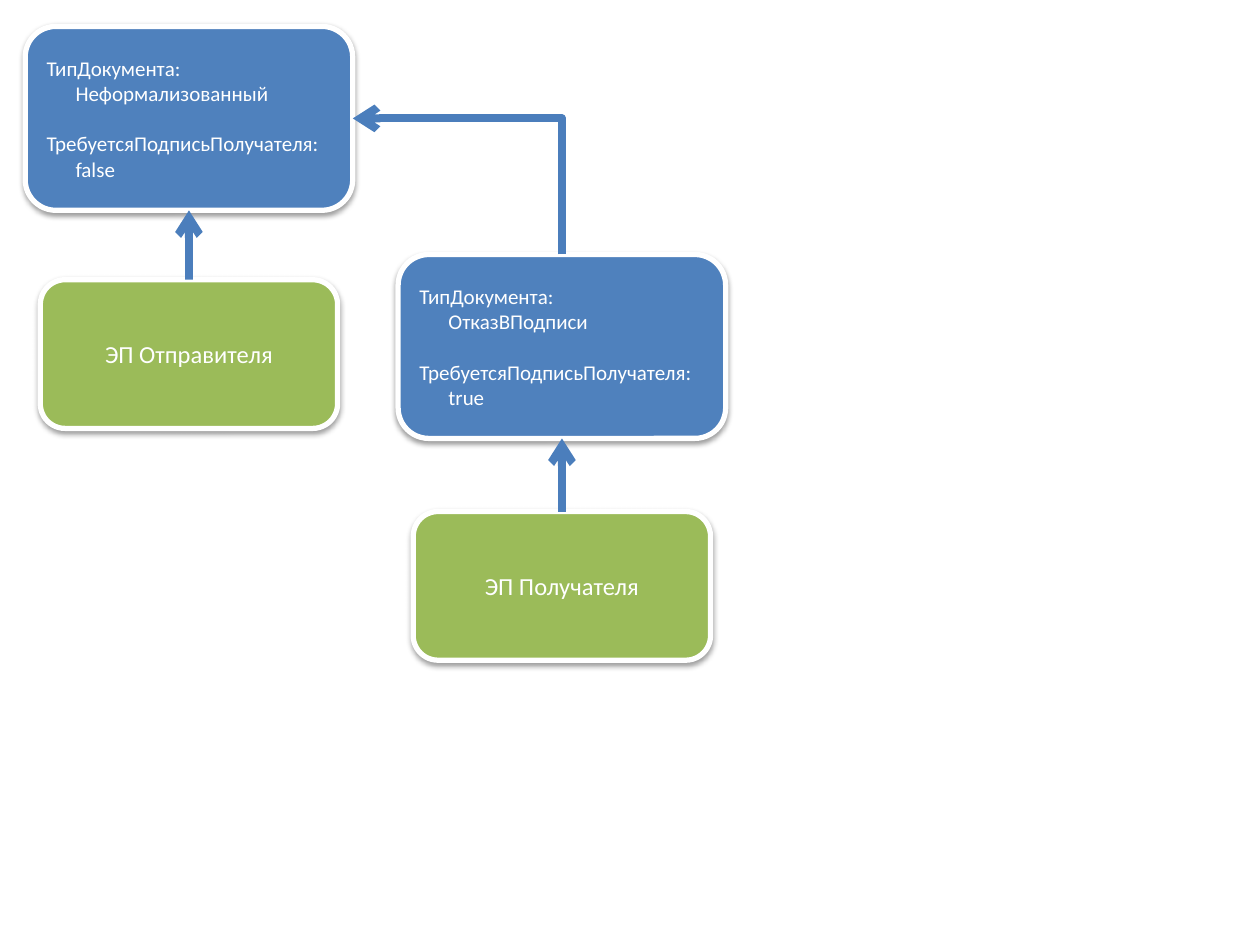
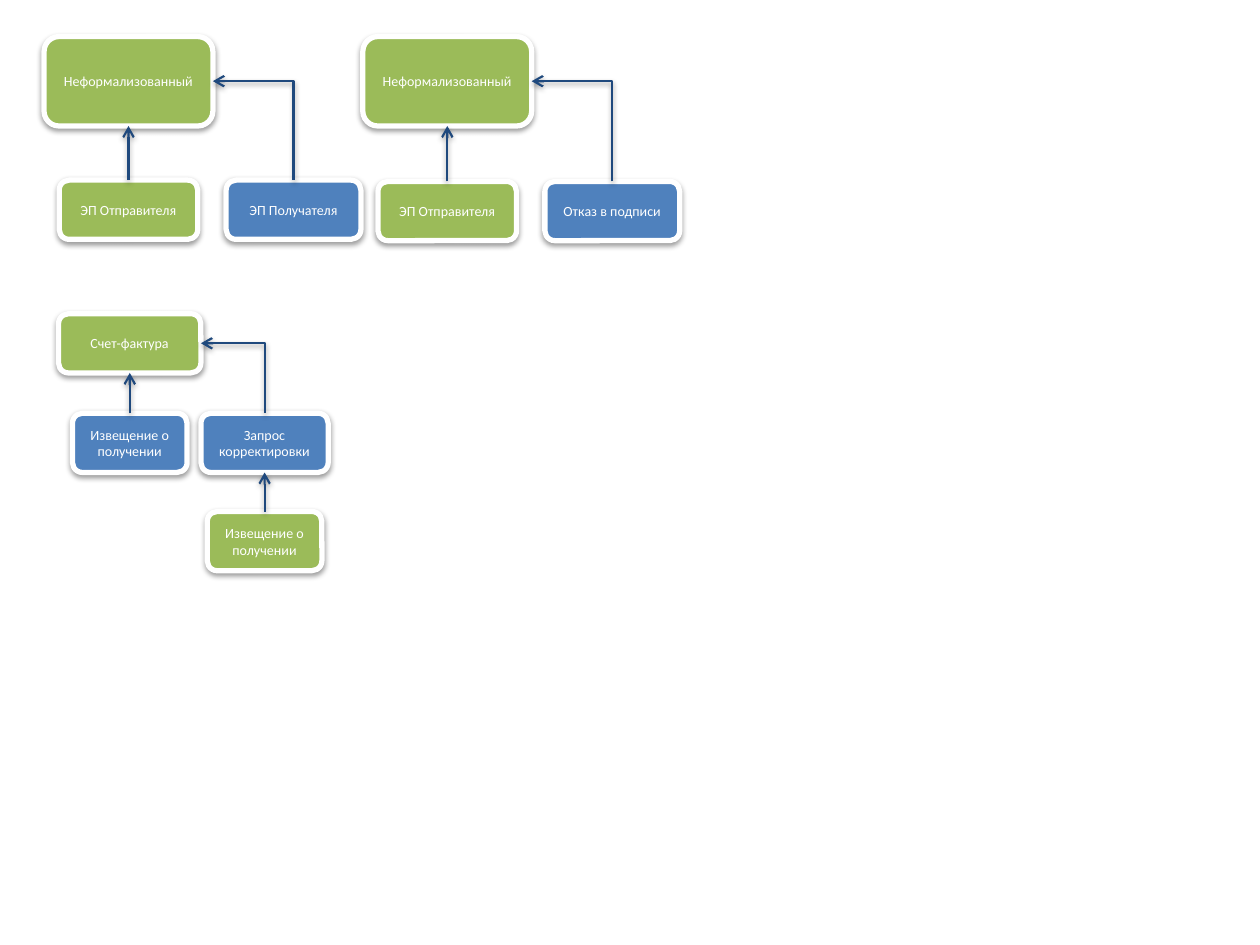
from pptx import Presentation
from pptx.dml.color import RGBColor
from pptx.enum.shapes import MSO_CONNECTOR as CONN, MSO_SHAPE as SHAPE
from pptx.enum.text import MSO_ANCHOR, PP_ALIGN
from pptx.oxml import parse_xml
from pptx.oxml.ns import nsdecls, qn
from pptx.util import Inches, Pt

rgb = RGBColor.from_string
BLUE, GREEN, WHITE = "4F81BD", "9BBB59", "FFFFFF"
TOP, BOTTOM, RIGHT = 0, 2, 3  # connection sites of a rounded rectangle
NO_EFFECT = f'<a:effectLst {nsdecls("a")}/>'
SHADOW = (f'<a:effectLst {nsdecls("a")}>'
          '<a:outerShdw blurRad="40000" dist="20000" dir="5400000" rotWithShape="0">'
          '<a:srgbClr val="000000"><a:alpha val="38000"/></a:srgbClr>'
          '</a:outerShdw></a:effectLst>')
ARROW = f'<a:tailEnd {nsdecls("a")} type="arrow"/>'

# Paragraph formats
CENTRED = {"alignment": PP_ALIGN.CENTER}
LABEL = {"alignment": PP_ALIGN.LEFT}
NEXT_LABEL = {"alignment": PP_ALIGN.LEFT, "space_before": Pt(14.4)}
VALUE = {"alignment": PP_ALIGN.LEFT}
VALUE_INDENT = Inches(0.23)

# Arrow styles: colour, width in points, effects
BOLD_ARROW = ("4B7EBC", 4.5, NO_EFFECT)
THIN_ARROW = ("1F497D", 1.25, SHADOW)


def add_box(shapes, centre, top, width, height, color, size, lines):
    """Add a rounded box centred on a column; lines are (text, format) pairs."""
    s = shapes.add_shape(SHAPE.ROUNDED_RECTANGLE, Inches(centre - width / 2),
                         Inches(top), Inches(width), Inches(height))
    s.fill.solid()
    s.fill.fore_color.rgb = rgb(color)
    s.line.color.rgb = rgb(WHITE)
    s.line.width = Pt(3)
    s._element.spPr.append(parse_xml(SHADOW))
    tf = s.text_frame
    tf.word_wrap = True
    tf.vertical_anchor = MSO_ANCHOR.MIDDLE
    font = {"name": "Calibri", "size": Pt(size)}
    for i, (text, fmt) in enumerate(lines):
        p = tf.add_paragraph() if i else tf.paragraphs[0]
        for key, value in fmt.items():
            setattr(p, key, value)
        if fmt is VALUE:
            p._p.get_or_add_pPr().set("marL", str(VALUE_INDENT))
        r = p.add_run()
        r.text = text
        for key, value in font.items():
            setattr(r.font, key, value)
        r.font.color.rgb = rgb(WHITE)
    return s


def link(shapes, child, parent, site, style):
    """Draw an arrow from the top of child to a site of parent, bent at RIGHT."""
    color, width, effects = style
    kind = CONN.ELBOW if site == RIGHT else CONN.STRAIGHT
    c = shapes.add_connector(kind, 0, 0, 0, 0)
    c.begin_connect(child, TOP)
    c.end_connect(parent, site)
    spPr = c._element.spPr
    if site == RIGHT:
        # One bend: a quarter-turned connector, so width and height swap
        mid_x, mid_y = (c.begin_x + c.end_x) // 2, (c.begin_y + c.end_y) // 2
        c.width, c.height = c.height, c.width
        c.left, c.top = mid_x - c.width // 2, mid_y - c.height // 2
        xfrm = spPr.find(qn("a:xfrm"))
        for key, value in {"rot": "16200000", "flipH": "0", "flipV": "1"}.items():
            xfrm.set(key, value)
        spPr.find(qn("a:prstGeom")).set("prst", "bentConnector2")
    c.line.color.rgb = rgb(color)
    c.line.width = Pt(width)
    spPr.find(qn("a:ln")).append(parse_xml(ARROW))
    spPr.append(parse_xml(effects))


prs = Presentation()
prs.slide_width, prs.slide_height = Inches(10), Inches(7.5)
blank = prs.slide_layouts[6]

# Slide 1: a document and its refusal, each with a signature below
shapes = prs.slides.add_slide(blank).shapes
documents = []
for centre, top, doc_type, required, sign_top, signature in [
    (1.5, 0.21, "Неформализованный", "false", 2.22, "ЭП Отправителя"),
    (4.46, 2.02, "ОтказВПодписи", "true", 4.06, "ЭП Получателя"),
]:
    sign = add_box(shapes, centre, sign_top, 2.36, 1.18, GREEN, 14,
                   [(signature, CENTRED)])
    doc = add_box(shapes, centre, top, 2.6, 1.46, BLUE, 12, [
        ("ТипДокумента:", LABEL), (doc_type, VALUE),
        ("ТребуетсяПодписьПолучателя:", NEXT_LABEL), (required, VALUE)])
    link(shapes, sign, doc, BOTTOM, BOLD_ARROW)
    documents.append(doc)
document, refusal = documents
link(shapes, refusal, document, RIGHT, BOLD_ARROW)

# Slide 2: document trees, one group each
# Box: centre, top, width, height, colour, text; link: child, parent, site
trees = []
for x, reply_top, reply in [(1.02, 1.43, "ЭП Получателя"),
                            (3.55, 1.44, "Отказ в подписи")]:
    trees.append((
        [(x + 1.31, reply_top, 1.07, 0.47, BLUE, reply),
         (x, reply_top, 1.1, 0.47, GREEN, "ЭП Отправителя"),
         (x, 0.29, 1.34, 0.71, GREEN, "Неформализованный")],
        [(0, 2, RIGHT), (1, 2, BOTTOM)]))
trees.append((
    [(2.1, 3.28, 1.01, 0.47, BLUE, "Запрос корректировки"),
     (1.03, 2.49, 1.13, 0.47, GREEN, "Счет-фактура"),
     (2.1, 4.06, 0.91, 0.47, GREEN, "Извещение о получении"),
     (1.03, 3.28, 0.91, 0.47, BLUE, "Извещение о получении")],
    [(0, 1, RIGHT), (3, 1, BOTTOM), (2, 0, BOTTOM)]))

slide = prs.slides.add_slide(blank)
for boxes, links in trees:
    shapes = slide.shapes.add_group_shape().shapes
    nodes = [add_box(shapes, *box, 8, [(text, CENTRED)]) for *box, text in boxes]
    for child, parent, site in links:
        link(shapes, nodes[child], nodes[parent], site, THIN_ARROW)
    # Fit the group to its contents after the connectors have moved
    shapes._recalculate_extents()

prs.save("out.pptx")
